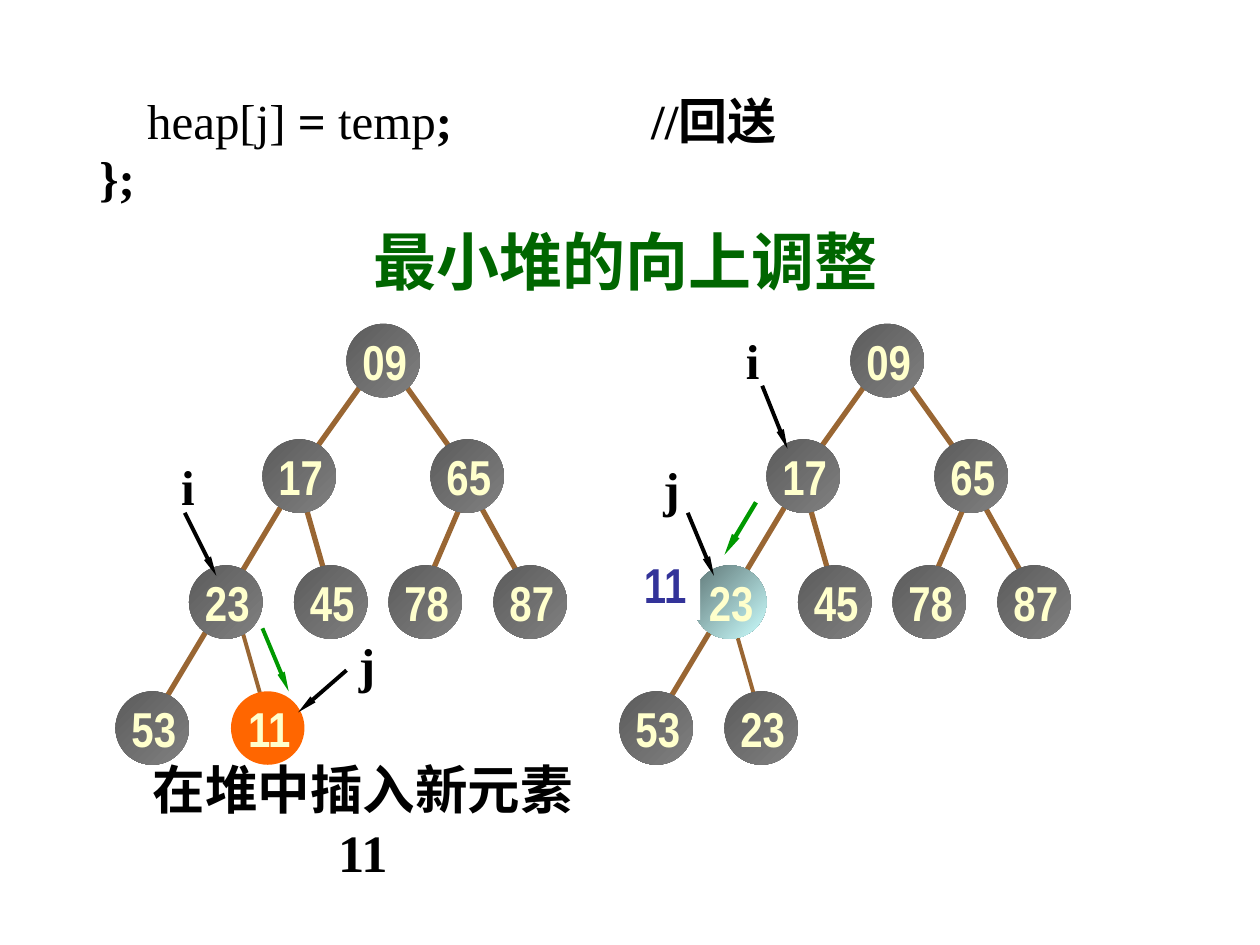
"""Builds a slide that shows the upward adjustment of a min heap as two trees."""
from lxml import etree
from pptx import Presentation
from pptx.dml.color import RGBColor
from pptx.enum.shapes import MSO_CONNECTOR, MSO_SHAPE
from pptx.enum.text import MSO_ANCHOR, PP_ALIGN
from pptx.oxml.ns import qn
from pptx.util import Inches, Pt

LINE, OVAL, RECTANGLE = MSO_CONNECTOR.STRAIGHT, MSO_SHAPE.OVAL, MSO_SHAPE.RECTANGLE
CENTER, LEFT = PP_ALIGN.CENTER, PP_ALIGN.LEFT
MIDDLE, TOP = MSO_ANCHOR.MIDDLE, MSO_ANCHOR.TOP

CELL = 1 / 12
TREE_TOP = 2.57
TREE_SHIFT = 48
NODE = 7
LABEL_SIZE = (6.7, 6.8)
SERIF, SANS = "Times New Roman", "Arial Narrow"
BLACK, GREEN, BROWN, CREAM = "000000", "009900", "996633", "FFFFCC"
GRAY, PALE, ORANGE = ("5C5C5C", "808080"), ("5E7676", "CCFFFF"), ("FF6600",)

TITLE = "最小堆的向上调整"
CAPTION = "在堆中插入新元素11"
CODE = [
    [("\t", True), ("heap[j]", False), (" = ", True), ("temp", False), (";\t\t\t\t//回送", True)],
    [("};", True)],
]
EDGES = [
    (45, 16, 50, 25), (44, 17, 41, 24), (38, 5, 43, 12),
    (29, 17, 31, 24), (35, 5, 30, 12), (27, 17, 15, 37),
]
NODES = [
    ("09", 33, 0), ("17", 25, 11), ("65", 41, 11), ("23", 18, 23),
    ("45", 28, 23), ("78", 37, 23), ("87", 47, 23), ("53", 11, 35),
]
TREES = [
    {"shift": 0, "leaf": ("11", 22, 35), "leaf_edge": (23, 29, 25, 36), "accents": {"11": ORANGE}},
    {"shift": TREE_SHIFT, "leaf": ("23", 21, 35), "leaf_edge": (22, 29, 24, 36),
     "accents": {("23", 18, 23): PALE}},
]
MOVED_VALUE = ("11", 60, 21.4, "333399")
POINTERS = [
    (17.6, 18, 20.6, 24, BLACK, 2.25), (25, 29, 27.5, 35, GREEN, 2.25),
    (33, 33, 28.4, 37, BLACK, 2.25), (72.6, 5.9, 75, 11.9, BLACK, 2.25),
    (65.5, 18, 68, 24, BLACK, 2.25), (72, 17, 69, 22, GREEN, 2.5),
]
INDEXES = [("i", 16, 12), ("j", 33, 29), ("j", 62, 12.2), ("i", 69.8, 0)]


def color(value):
    """Turn a hex string into a colour."""
    return RGBColor.from_string(value)


def place(column, row):
    """Turn a grid position into slide lengths."""
    return Inches(column * CELL), Inches(TREE_TOP + row * CELL)


def assign(target, values):
    """Set attributes from a dict."""
    for name, value in values.items():
        setattr(target, name, value)


def set_font(font, name, size, tint, bold=True):
    """Format a font."""
    assign(font, {"name": name, "size": Pt(size), "bold": bold})
    font.color.rgb = color(tint)


def write(box, text, name, size, tint, align=CENTER, anchor=MIDDLE, wrap=False):
    """Write one formatted paragraph into a box and return it."""
    assign(box.text_frame, {"word_wrap": wrap, "vertical_anchor": anchor})
    para = box.text_frame.paragraphs[0]
    para.alignment = align
    span = para.add_run()
    span.text = text
    set_font(span.font, name, size, tint)
    return para


def add_line(page, start_column, start_row, end_column, end_row, tint, width, arrow=False):
    """Draw a line between two grid positions."""
    line = page.shapes.add_connector(
        LINE, *place(start_column, start_row), *place(end_column, end_row))
    line.line.color.rgb = color(tint)
    line.line.width = Pt(width)
    properties = line.line._get_or_add_ln()
    if arrow:
        etree.SubElement(properties, qn("a:tailEnd"), type="triangle", w="sm", len="lg")
    etree.SubElement(line._element.spPr, qn("a:effectLst"))


def add_shape(page, kind, column, row, size, fills):
    """Draw a filled shape without outline."""
    shape = page.shapes.add_shape(
        kind, *place(column, row), *(Inches(side * CELL) for side in size))
    shape.shadow.inherit = False
    shape.line.fill.background()
    if len(fills) == 1:
        shape.fill.solid()
        shape.fill.fore_color.rgb = color(fills[0])
    else:
        shape.fill.gradient()
        shape.fill.gradient_angle = 315
        for stop, tint, position in zip(shape.fill.gradient_stops, fills, (0, 1)):
            stop.color.rgb = color(tint)
            stop.position = position
    return shape


def add_label(page, text, column, row, name, tint, width=LABEL_SIZE[0]):
    """Place a short label on the grid."""
    box = page.shapes.add_textbox(
        *place(column, row), Inches(width * CELL), Inches(LABEL_SIZE[1] * CELL))
    write(box, text, name, 28, tint)


def add_tree(page, tree):
    """Draw the edges, nodes and values of one heap."""
    shift = tree["shift"]
    edges = [(edge, 3) for edge in EDGES] + [(tree["leaf_edge"], 2.25)]
    for (start, top, end, bottom), width in edges:
        add_line(page, start + shift, top, end + shift, bottom, BROWN, width)
    for node in NODES + [tree["leaf"]]:
        value, column, row = node
        fills = tree["accents"].get(node, tree["accents"].get(value, GRAY))
        add_shape(page, OVAL, column + shift, row, (NODE, NODE), fills)
        add_label(page, value, column + shift + 0.3, row + 0.1, SANS, CREAM)


def add_code(page):
    """Write the code lines with a hanging indent."""
    box = page.shapes.add_textbox(Inches(0.69), Inches(0.76), Inches(9), Inches(1.1))
    box.text_frame.word_wrap = True
    for number, spans in enumerate(CODE):
        para = box.text_frame.add_paragraph() if number else box.text_frame.paragraphs[0]
        para.line_spacing = 0.8
        para.space_before = Pt(5.6 if number else 0)
        indent = Inches(0.38)
        para._p.get_or_add_pPr().set("marL", str(indent))
        para._p.get_or_add_pPr().set("indent", str(-indent))
        for text, bold in spans:
            span = para.add_run()
            span.text = text
            set_font(span.font, SERIF, 28, BLACK, bold)


def main():
    """Build and save the deck."""
    deck = Presentation()
    assign(deck, {"slide_width": Inches(10), "slide_height": Inches(7.5)})
    page = deck.slides.add_slide(deck.slide_layouts[6])
    caption = page.shapes.add_textbox(Inches(0.93), Inches(6.21), Inches(3.9), Inches(0.6))
    write(caption, CAPTION, SERIF, 30, BLACK, wrap=True)
    for tree in TREES:
        add_tree(page, tree)
    value, column, row, tint = MOVED_VALUE
    write(add_shape(page, RECTANGLE, column, row, LABEL_SIZE, ("FFFFFF",)), value, SANS, 28, tint)
    for pointer in POINTERS:
        add_line(page, *pointer, arrow=True)
    for name, column, row in INDEXES:
        add_label(page, name, column, row, SERIF, BLACK, 3.8)
    title = page.shapes.add_textbox(Inches(2.87), Inches(1.83), Inches(4.67), Inches(0.58))
    write(title, TITLE, SERIF, 36, "006600", LEFT, TOP, True).line_spacing = 0.8
    add_code(page)
    deck.save("out.pptx")


if __name__ == "__main__":
    main()
